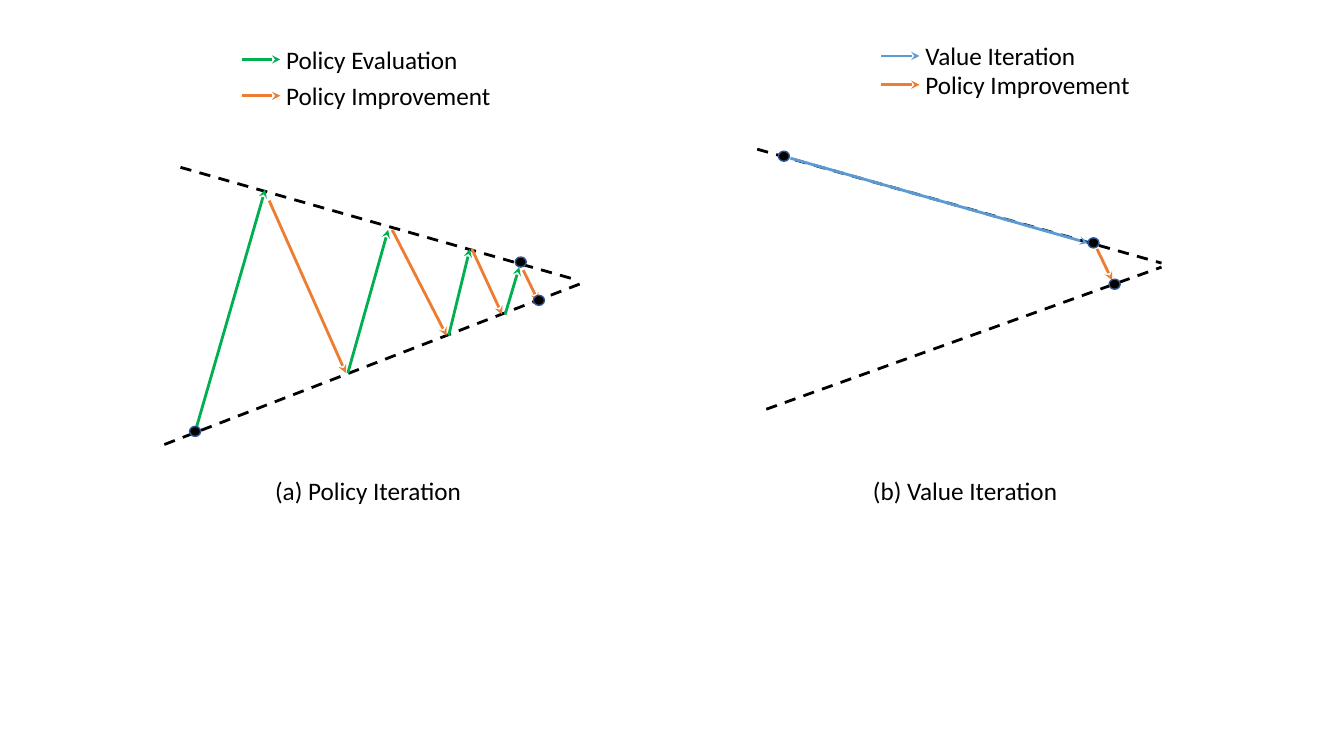
from pptx import Presentation
from pptx.dml.color import RGBColor
from pptx.enum.dml import MSO_LINE
from pptx.enum.shapes import MSO_CONNECTOR, MSO_SHAPE
from pptx.oxml.ns import qn
from pptx.util import Inches, Pt
from lxml.etree import SubElement

BLACK = RGBColor(0x00, 0x00, 0x00)
GREEN = RGBColor(0x00, 0xB0, 0x50)
ORANGE = RGBColor(0xED, 0x7D, 0x31)
BLUE = RGBColor(0x5B, 0x9B, 0xD5)
NAVY = RGBColor(0x32, 0x54, 0x91)

CELL = Inches(0.1)
DOT_W, DOT_H = 1.1, 1.0
KEY_LENGTH = 3.8
TEXT_HEIGHT = 4

POLICY_PANEL = {
    "walls": [(2.9, 13.6, 42.3, 24.8), (1.3, 41.1, 42.7, 25.1)],
    "steps": [
        (GREEN, [(4.4, 39.7, 11.3, 15.8), (19.5, 34, 23.5, 19.8),
                 (29.5, 30.3, 31.6, 21.7), (35.1, 28.2, 36.5, 23.5)]),
        (ORANGE, [(11.7, 16.9, 19.3, 34), (23.9, 19.8, 29.3, 30.3),
                  (31.8, 21.7, 34.8, 28.2), (36.9, 23.8, 38.4, 26.9)]),
    ],
    "dots": [(4.35, 39.8), (36.65, 23), (38.45, 26.8)],
    "legend": (9, 2.9, 3.6, [("Policy Evaluation", GREEN), ("Policy Improvement", ORANGE)]),
    "caption": ("(a) Policy Iteration", 11.3, 43.7, 23.1),
}
VALUE_PANEL = {
    "walls": [(0.1, 11.8, 40.2, 23.1), (1, 37.6, 40.2, 23.5)],
    "steps": [
        (BLUE, [(3.4, 12.7, 32.9, 21.1)]),
        (ORANGE, [(33.8, 21.7, 35.3, 24.8)]),
    ],
    "dots": [(2.75, 12.5), (33.45, 21.1), (35.55, 25.2)],
    "legend": (12.4, 2.55, 2.85, [("Value Iteration", BLUE), ("Policy Improvement", ORANGE)]),
    "caption": ("(b) Value Iteration", 10.6, 43.7, 21.2),
}


def cells(*values):
    """Convert grid cells to slide lengths."""
    return [round(v * CELL) for v in values]


def add_line(s, col, row, ends, color, arrow=True):
    """Draw a stealth arrow, or a dashed line, from a panel's corner."""
    x1, y1, x2, y2 = ends
    line = s.shapes.add_connector(
        MSO_CONNECTOR.STRAIGHT, *cells(col + x1, row + y1, col + x2, row + y2))
    line.line.color.rgb = color
    line.line.width = Pt(2)
    if arrow:
        SubElement(line.line._get_or_add_ln(), qn("a:tailEnd"), type="stealth")
    else:
        line.line.dash_style = MSO_LINE.DASH
    SubElement(line._element.spPr, qn("a:effectLst"))


def add_dot(s, x, y):
    """Draw a black state marker centred on a grid point."""
    sp = s.shapes.add_shape(
        MSO_SHAPE.OVAL, *cells(x - DOT_W / 2, y - DOT_H / 2, DOT_W, DOT_H))
    sp.shadow.inherit = False
    sp.fill.solid()
    sp.fill.fore_color.rgb = BLACK
    sp.line.color.rgb = NAVY
    sp.line.width = Pt(1)


def add_label(s, text, x, y, width):
    """Write one line of 18 point text."""
    tf = s.shapes.add_textbox(*cells(x, y, width, TEXT_HEIGHT)).text_frame
    tf.word_wrap = True
    tf.text = text
    font = tf.paragraphs[0].runs[0].font
    font.name = "Calibri"
    font.size = Pt(18)
    font.color.rgb = BLACK


def add_legend(s, col, row, legend):
    """Stack the arrow keys and their labels."""
    x, y, pitch, entries = legend
    for i, (text, color) in enumerate(entries):
        key_y = y + i * pitch
        add_line(s, col, row, (x, key_y, x + KEY_LENGTH, key_y), color)
        add_label(s, text, col + x + 3.4, row + key_y - TEXT_HEIGHT / 2, 22.5)


def add_panel(s, col, row, panel):
    """Draw a converging diagram with its legend and caption."""
    for wall in panel["walls"]:
        add_line(s, col, row, wall, BLACK, arrow=False)
    for color, steps in panel["steps"]:
        for step in steps:
            add_line(s, col, row, step, color)
    for x, y in panel["dots"]:
        add_dot(s, col + x, row + y)
    add_legend(s, col, row, panel["legend"])
    text, x, y, width = panel["caption"]
    add_label(s, text, col + x, row + y, width)


def main():
    """Build the slide and save it."""
    prs = Presentation()
    prs.slide_width, prs.slide_height = Inches(13.33), Inches(7.5)
    s = prs.slides.add_slide(prs.slide_layouts[6])
    add_panel(s, 15, 3, POLICY_PANEL)
    add_panel(s, 75, 3, VALUE_PANEL)
    prs.save("out.pptx")


if __name__ == "__main__":
    main()
